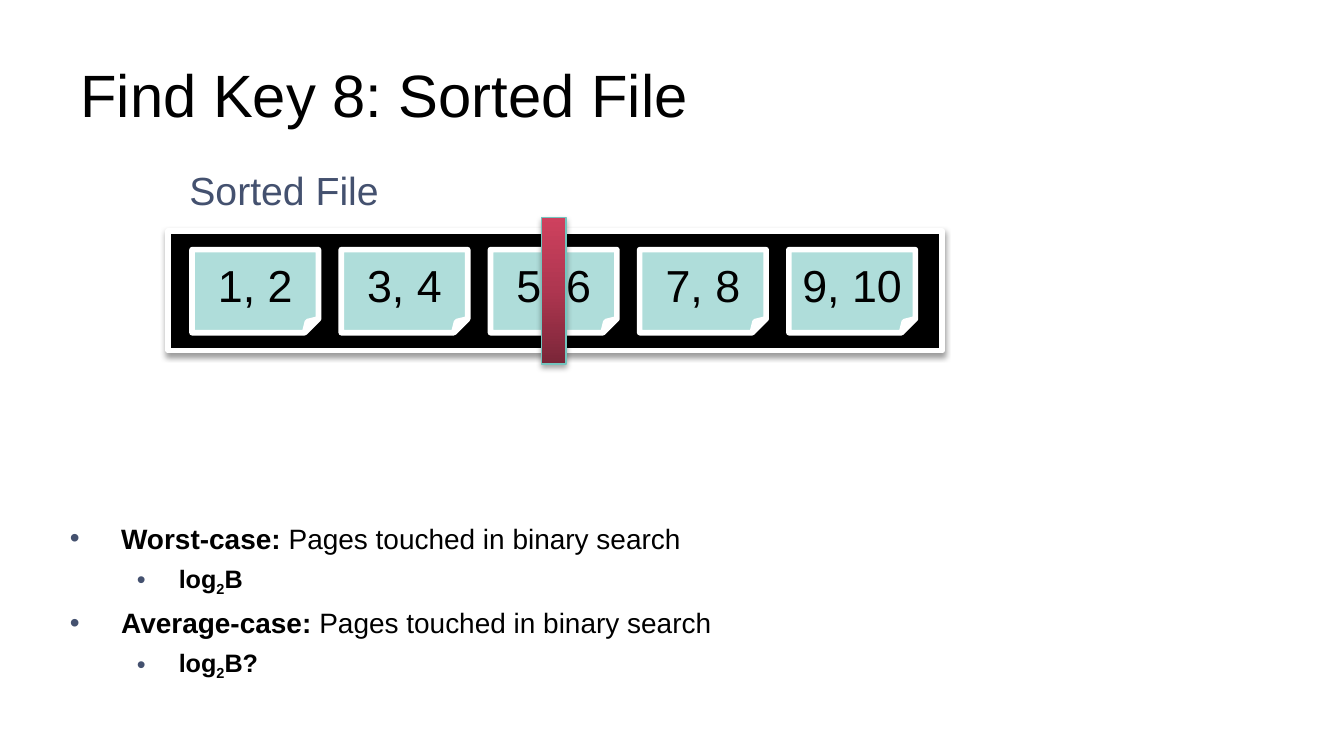
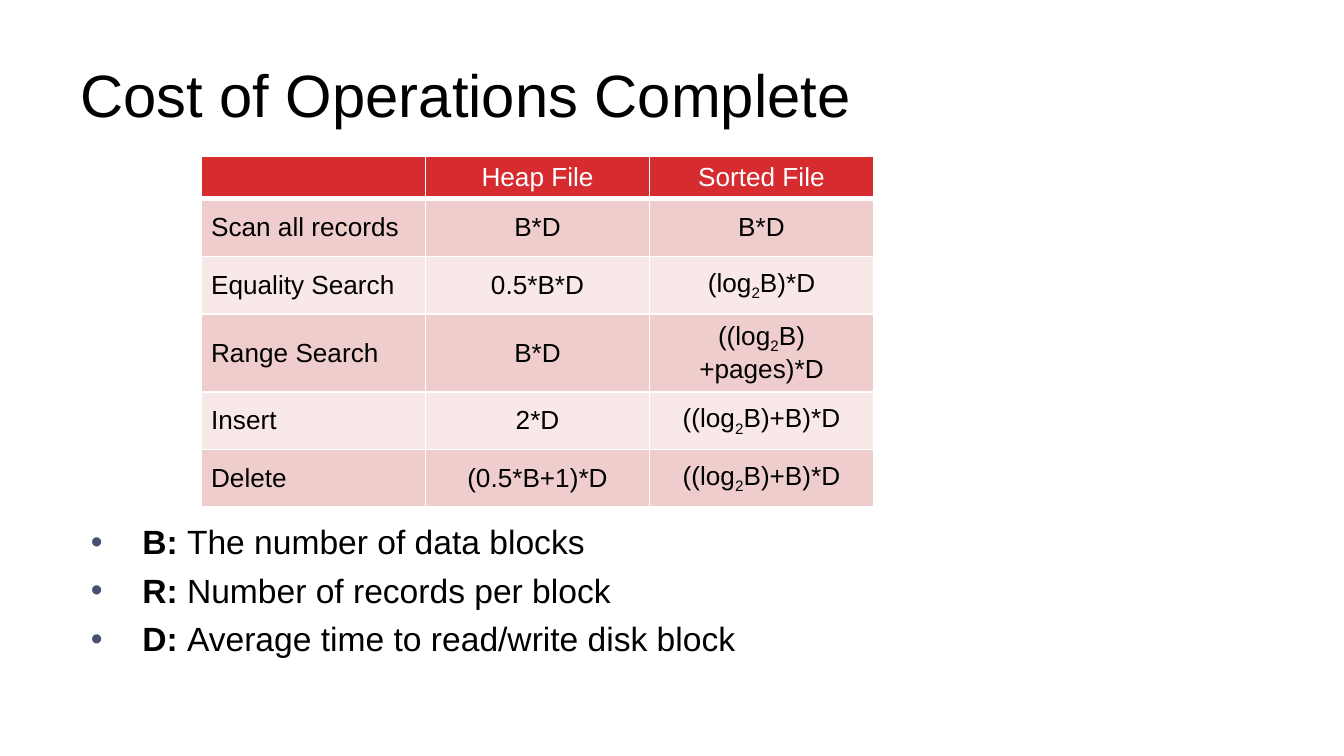
from copy import deepcopy
from dataclasses import dataclass
from typing import NamedTuple

from lxml.etree import SubElement
from pptx import Presentation
from pptx.dml.color import RGBColor as Rgb
from pptx.enum.shapes import MSO_SHAPE as Preset
from pptx.enum.text import MSO_ANCHOR as Anchor, PP_ALIGN as Align
from pptx.oxml.ns import qn
from pptx.util import Cm, Pt


@dataclass(frozen=True)
class Theme:
    font: str = "Arial"
    ink: str = "000000"
    paper: str = "FFFFFF"
    accent: str = "44516F"
    page: str = "AFDDDA"
    cursor_edge: str = "74C4BE"
    cursor: tuple[str, ...] = ("7A2638", "AE3650", "CE415E")
    header: str = "D72C2F"
    bands: tuple[str, str] = ("F0CDCD", "F8E8E8")
    title_size: float = 32
    label_size: float = 21
    page_size: float = 24
    cell_size: float = 14
    cost_size: float = 15
    formula_size: float = 13.5
    legend_size: float = 18
    bullet_gap: float = 4.4


class Box(NamedTuple):
    left: float
    top: float
    width: float
    height: float

    def lengths(self) -> tuple[Cm, ...]:
        return tuple(Cm(side) for side in self)


class Bullet(NamedTuple):
    lead: str
    rest: str
    size: float
    level: int = 0


class Shadow(NamedTuple):
    opacity: int
    distance: float


THEME = Theme()
TITLE = Box(1.27, 0.58, 22.86, 2.39)
INDENTS = ((0.97, -0.97), (2.06, -0.79))
SOFT_SHADOW = Shadow(38, 1.6)
CURSOR_SHADOW = Shadow(35, 1.8)
PAGES = ("1, 2", "3, 4", "5, 6", "7, 8", "9, 10")
FIRST_PAGE = Box(3.63, 4.72, 2.39, 1.57)
PAGE_PITCH = 2.82
SEARCH_COSTS = (
    Bullet("Worst-case: ", "Pages touched in binary search", THEME.cost_size),
    Bullet("log₂B", "", THEME.formula_size, 1),
    Bullet("Average-case: ", "Pages touched in binary search", THEME.cost_size),
    Bullet("log₂B?", "", THEME.formula_size, 1),
)
LEGEND = (
    Bullet("B: ", "The number of data blocks", THEME.legend_size),
    Bullet("R: ", "Number of records per block", THEME.legend_size),
    Bullet("D: ", "Average time to read/write disk block", THEME.legend_size),
)
OPERATIONS = (
    ("", "Heap File", "Sorted File"),
    ("Scan all records", "B*D", "B*D"),
    ("Equality Search", "0.5*B*D", "(log₂B)*D"),
    ("Range Search", "B*D", "((log₂B)+pages)*D"),
    ("Insert", "2*D", "((log₂B)+B)*D"),
    ("Delete", "(0.5*B+1)*D", "((log₂B)+B)*D"),
)


def set_font(paragraph, size: float, color: str = THEME.ink) -> None:
    font = paragraph.font
    font.name, font.size = THEME.font, Pt(size)
    font.color.rgb = Rgb.from_string(color)


def add_math(paragraph, text: str, bold: bool = False) -> None:
    """Write text, lowering each ₂ as a subscript run."""
    for index, part in enumerate(text.split("₂")):
        if index:
            base = paragraph.add_run()
            base.text, base.font.bold = "2", bold
            base.font._element.set("baseline", "-25000")
        if part:
            run = paragraph.add_run()
            run.text, run.font.bold = part, bold


def add_text(slide, box: Box, text: str, size: float, color: str = THEME.ink,
             anchor=Anchor.TOP, wrap: bool = True) -> None:
    frame = slide.shapes.add_textbox(*box.lengths()).text_frame
    frame.word_wrap, frame.vertical_anchor = wrap, anchor
    line = frame.paragraphs[0]
    line.text = text
    set_font(line, size, color)


def add_bullets(slide, box: Box, bullets: tuple[Bullet, ...]) -> None:
    frame = slide.shapes.add_textbox(*box.lengths()).text_frame
    frame.word_wrap = True
    for index, bullet in enumerate(bullets):
        line = frame.add_paragraph() if index else frame.paragraphs[0]
        line.level = bullet.level
        margin, hanging = INDENTS[bullet.level]
        properties = line._p.get_or_add_pPr()
        properties.set("marL", str(Cm(margin)))
        properties.set("indent", str(Cm(hanging)))
        tint = SubElement(properties, qn("a:buClr"))
        SubElement(tint, qn("a:srgbClr"), val=THEME.accent)
        SubElement(properties, qn("a:buFont"), typeface=THEME.font)
        SubElement(properties, qn("a:buChar"), char="•")
        if index:
            line.space_before = Pt(THEME.bullet_gap)
        set_font(line, bullet.size)
        add_math(line, bullet.lead, bold=True)
        add_math(line, bullet.rest)


def add_block(shapes, preset, box: Box, fill: str | tuple[str, ...], edge: str,
              edge_width: float, shadow: Shadow):
    """Draw a shape with a plain or gradient fill and a soft drop shadow."""
    block = shapes.add_shape(preset, *box.lengths())
    properties = block._element.spPr
    if isinstance(fill, str):
        block.fill.solid()
        block.fill.fore_color.rgb = Rgb.from_string(fill)
    else:
        block.fill.gradient()
        block.fill.gradient_angle = 90
        stop_list = properties.find(".//" + qn("a:gsLst"))
        while len(stop_list) < len(fill):
            stop_list.append(deepcopy(stop_list[0]))
        for index, (stop, color) in enumerate(zip(block.fill.gradient_stops, fill)):
            stop.position = index / (len(fill) - 1)
            stop.color.rgb = Rgb.from_string(color)
    block.line.color.rgb = Rgb.from_string(edge)
    block.line.width = Pt(edge_width)
    block.shadow.inherit = False
    drop = SubElement(properties.find(qn("a:effectLst")), qn("a:outerShdw"),
                      blurRad=str(Pt(3.1)), dist=str(Pt(shadow.distance)),
                      dir="5400000", rotWithShape="0")
    tone = SubElement(drop, qn("a:srgbClr"), val=THEME.ink)
    SubElement(tone, qn("a:alpha"), val=str(shadow.opacity * 1000))
    return block


def add_page(shapes, box: Box, keys: str) -> None:
    page = add_block(shapes, Preset.FOLDED_CORNER, box, THEME.page, THEME.paper, 3,
                     SOFT_SHADOW)
    frame = page.text_frame
    frame.margin_left = frame.margin_right = frame.margin_top = frame.margin_bottom = 0
    frame.word_wrap, frame.vertical_anchor = False, Anchor.MIDDLE
    line = frame.paragraphs[0]
    line.text, line.alignment = keys, Align.CENTER
    set_font(line, THEME.page_size)


def add_borders(cell, bottom: float) -> None:
    properties = cell._tc.get_or_add_tcPr()
    for side, width in (("L", 1), ("R", 1), ("T", 1), ("B", bottom)):
        edge = SubElement(properties, qn(f"a:ln{side}"), w=str(Pt(width)))
        paint = SubElement(edge, qn("a:solidFill"))
        SubElement(paint, qn("a:srgbClr"), val=THEME.paper)


def add_operations(slide, box: Box, header_height: float, row_height: float) -> None:
    columns = len(OPERATIONS[0])
    table = slide.shapes.add_table(len(OPERATIONS), columns, *box.lengths()).table
    table_properties = table._tbl.tblPr
    table_properties.remove(table_properties.find(qn("a:tableStyleId")))
    table.horz_banding = False
    for column in table.columns:
        column.width = Cm(box.width / columns)
    for row, costs in enumerate(OPERATIONS):
        table.rows[row].height = Cm(row_height if row else header_height)
        for column, cost in enumerate(costs):
            cell = table.cell(row, column)
            add_borders(cell, 1 if row else 3)
            cell.fill.solid()
            fill = THEME.bands[(row - 1) % 2] if row else THEME.header
            cell.fill.fore_color.rgb = Rgb.from_string(fill)
            cell.margin_left = cell.margin_right = Cm(0.18)
            cell.margin_top = cell.margin_bottom = Cm(0.1)
            cell.vertical_anchor = Anchor.MIDDLE
            line = cell.text_frame.paragraphs[0]
            line.alignment = Align.CENTER if column else Align.LEFT
            set_font(line, THEME.cell_size, THEME.ink if row else THEME.paper)
            add_math(line, cost)


def add_titled_slide(deck, title: str):
    slide = deck.slides.add_slide(deck.slide_layouts[6])
    add_text(slide, TITLE, title, THEME.title_size, anchor=Anchor.MIDDLE)
    return slide


def build_sorted_file(deck) -> None:
    slide = add_titled_slide(deck, "Find Key 8: Sorted File")
    add_bullets(slide, Box(1.07, 9.73, 22.86, 4.5), SEARCH_COSTS)
    add_text(slide, Box(3.33, 3.02, 4.11, 1.14), "Sorted File", THEME.label_size,
             THEME.accent, wrap=False)
    sorted_file = slide.shapes.add_group_shape().shapes
    add_block(sorted_file, Preset.RECTANGLE, Box(3.18, 4.37, 14.63, 2.26), THEME.ink,
              THEME.paper, 3, SOFT_SHADOW)
    for index, keys in enumerate(PAGES):
        left = FIRST_PAGE.left + index * PAGE_PITCH
        add_page(sorted_file, FIRST_PAGE._replace(left=left), keys)
    add_block(slide.shapes, Preset.RECTANGLE, Box(10.24, 4.11, 0.46, 2.77), THEME.cursor,
              THEME.cursor_edge, 0.75, CURSOR_SHADOW)


def build_costs(deck) -> None:
    slide = add_titled_slide(deck, "Cost of Operations Complete")
    add_bullets(slide, Box(1.47, 9.73, 22.86, 4.5), LEGEND)
    add_operations(slide, Box(3.81, 2.95, 12.7, 6.53), 0.81, 1.09)


def main() -> None:
    deck = Presentation()
    deck.slide_width, deck.slide_height = Cm(25.4), Cm(14.29)
    build_sorted_file(deck)
    build_costs(deck)
    deck.save("out.pptx")


if __name__ == "__main__":
    main()
